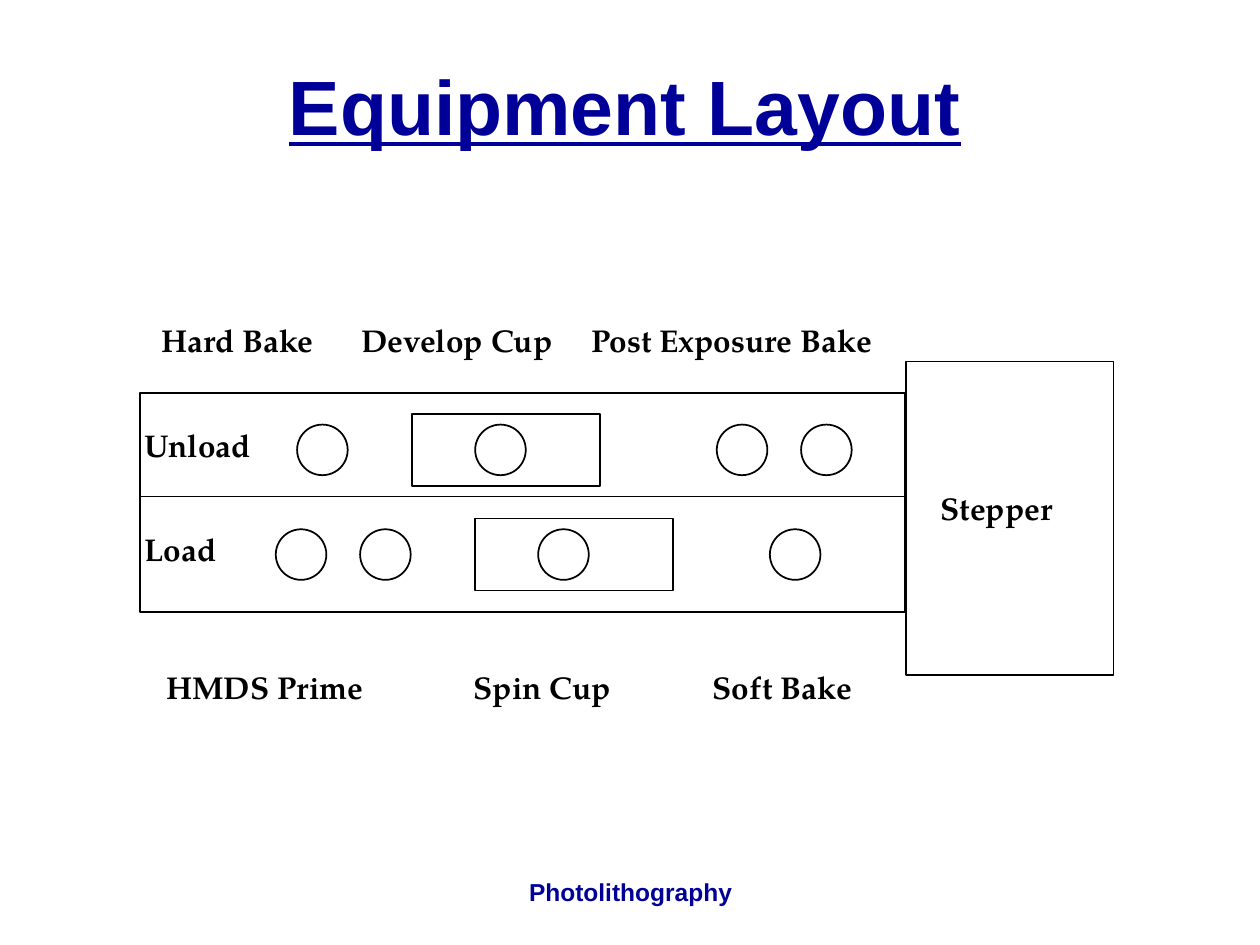
import dataclasses

import pptx
import pptx.dml.color
import pptx.enum.shapes
import pptx.enum.text
import pptx.util
from lxml import etree

Cm = pptx.util.Cm
Preset = pptx.enum.shapes.MSO_SHAPE
Align = pptx.enum.text.PP_ALIGN
Anchor = pptx.enum.text.MSO_ANCHOR


@dataclasses.dataclass(frozen=True)
class Theme:
    heading: str = "000099"
    ink: str = "000000"
    paper: str = "FFFFFF"
    heading_font: str = "Arial"
    label_font: str = "TeX Gyre Pagella"
    title_size: int = 44
    footer_size: int = 14
    label_size: int = 18
    line_width: int = 1


@dataclasses.dataclass(frozen=True)
class Box:
    """A rectangle in centimetres."""
    left: float
    top: float
    width: float
    height: float


@dataclasses.dataclass(frozen=True)
class Label:
    text: str
    left: float
    width: float


@dataclasses.dataclass(frozen=True)
class Track:
    """One wafer lane: its end label, plates, cup and the station names beside it."""
    end: Label
    plates_top: float
    plate_lefts: tuple[float, ...]
    cup_left: float
    cup_width: float
    stations_top: float
    stations: tuple[Label, ...]


THEME = Theme()
PLATE_SIZE = 1.02
CUP_HEIGHT = 1.45
LABEL_HEIGHT = 1.02
TRACK_FRAME = Box(2.82, 7.92, 15.42, 4.42)
DIVIDER_TOP = 10.01
STEPPER = Box(18.26, 7.29, 4.19, 6.32)

TRACKS = (
    Track(Label("Unload", 2.67, 3.0), 8.56, (5.99, 9.58, 14.45, 16.15), 8.31, 3.78, 6.35,
          (Label("Hard Bake", 3.0, 3.9), Label("Develop Cup", 7.04, 4.6),
           Label("Post Exposure Bake", 11.68, 6.5))),
    Track(Label("Load", 2.67, 2.4), 10.67, (5.56, 7.26, 10.85, 15.52), 9.58, 3.99, 13.34,
          (Label("HMDS Prime", 3.1, 4.8), Label("Spin Cup", 9.3, 3.6),
           Label("Soft Bake", 14.12, 3.6))),
)


def rgb(value: str) -> pptx.dml.color.RGBColor:
    return pptx.dml.color.RGBColor.from_string(value)


def lengths(box: Box) -> list[pptx.util.Length]:
    return [Cm(value) for value in dataclasses.astuple(box)]


def draw_outline(slide, preset, box: Box) -> None:
    """Draw a paper-coloured shape with an ink outline."""
    outline = slide.shapes.add_shape(preset, *lengths(box))
    outline.shadow.inherit = False
    outline.fill.solid()
    outline.fill.fore_color.rgb = rgb(THEME.paper)
    outline.line.color.rgb = rgb(THEME.ink)
    outline.line.width = pptx.util.Pt(THEME.line_width)


def draw_divider(slide) -> None:
    left, right = Cm(TRACK_FRAME.left), Cm(TRACK_FRAME.left + TRACK_FRAME.width)
    divider = slide.shapes.add_connector(
        pptx.enum.shapes.MSO_CONNECTOR.STRAIGHT, left, Cm(DIVIDER_TOP), right, Cm(DIVIDER_TOP))
    divider.line.color.rgb = rgb(THEME.ink)
    divider.line.width = pptx.util.Pt(THEME.line_width)
    etree.SubElement(divider._element.spPr, pptx.oxml.ns.qn("a:effectLst"))


def draw_text(slide, text: str, box: Box, formats: dict, color: str,
              align=Align.LEFT, anchor=Anchor.TOP, line_spacing: float = 1.0) -> None:
    frame = slide.shapes.add_textbox(*lengths(box)).text_frame
    frame.word_wrap = True
    frame.vertical_anchor = anchor
    paragraph = frame.paragraphs[0]
    paragraph.alignment = align
    paragraph.line_spacing = line_spacing
    run = paragraph.add_run()
    run.text = text
    for attribute, value in formats.items():
        setattr(run.font, attribute, value)
    run.font.color.rgb = rgb(color)


def draw_label(slide, label: Label, top: float) -> None:
    formats = {"name": THEME.label_font, "size": pptx.util.Pt(THEME.label_size), "bold": True}
    draw_text(slide, label.text, Box(label.left, top, label.width, LABEL_HEIGHT),
              formats, THEME.ink)


def draw_heading(slide, text: str, box: Box, size: int, underline: bool = False,
                 line_spacing: float = 1.0) -> None:
    formats = {"name": THEME.heading_font, "size": pptx.util.Pt(size),
               "bold": True, "underline": underline}
    draw_text(slide, text, box, formats, THEME.heading, Align.CENTER, Anchor.MIDDLE, line_spacing)


def draw_track(slide, track: Track) -> None:
    cup_top = track.plates_top - (CUP_HEIGHT - PLATE_SIZE) / 2
    draw_outline(slide, Preset.RECTANGLE,
                 Box(track.cup_left, cup_top, track.cup_width, CUP_HEIGHT))
    for left in track.plate_lefts:
        draw_outline(slide, Preset.OVAL, Box(left, track.plates_top, PLATE_SIZE, PLATE_SIZE))
    draw_label(slide, track.end, track.plates_top - 0.1)
    for station in track.stations:
        draw_label(slide, station, track.stations_top)


def main() -> None:
    deck = pptx.Presentation()
    deck.slide_width, deck.slide_height = Cm(25.4), Cm(19.05)
    slide = deck.slides.add_slide(deck.slide_layouts[6])

    draw_heading(slide, "Equipment Layout", Box(1.27, 0.64, 22.66, 3.18),
                 THEME.title_size, underline=True, line_spacing=0.9)
    draw_outline(slide, Preset.RECTANGLE, TRACK_FRAME)
    draw_divider(slide)
    for track in TRACKS:
        draw_track(slide, track)
    draw_outline(slide, Preset.RECTANGLE, STEPPER)
    draw_label(slide, Label("Stepper", 18.72, 3.3), 9.73)
    draw_heading(slide, "Photolithography", Box(8.69, 17.35, 8.05, 1.27), THEME.footer_size)

    deck.save("out.pptx")


if __name__ == "__main__":
    main()
